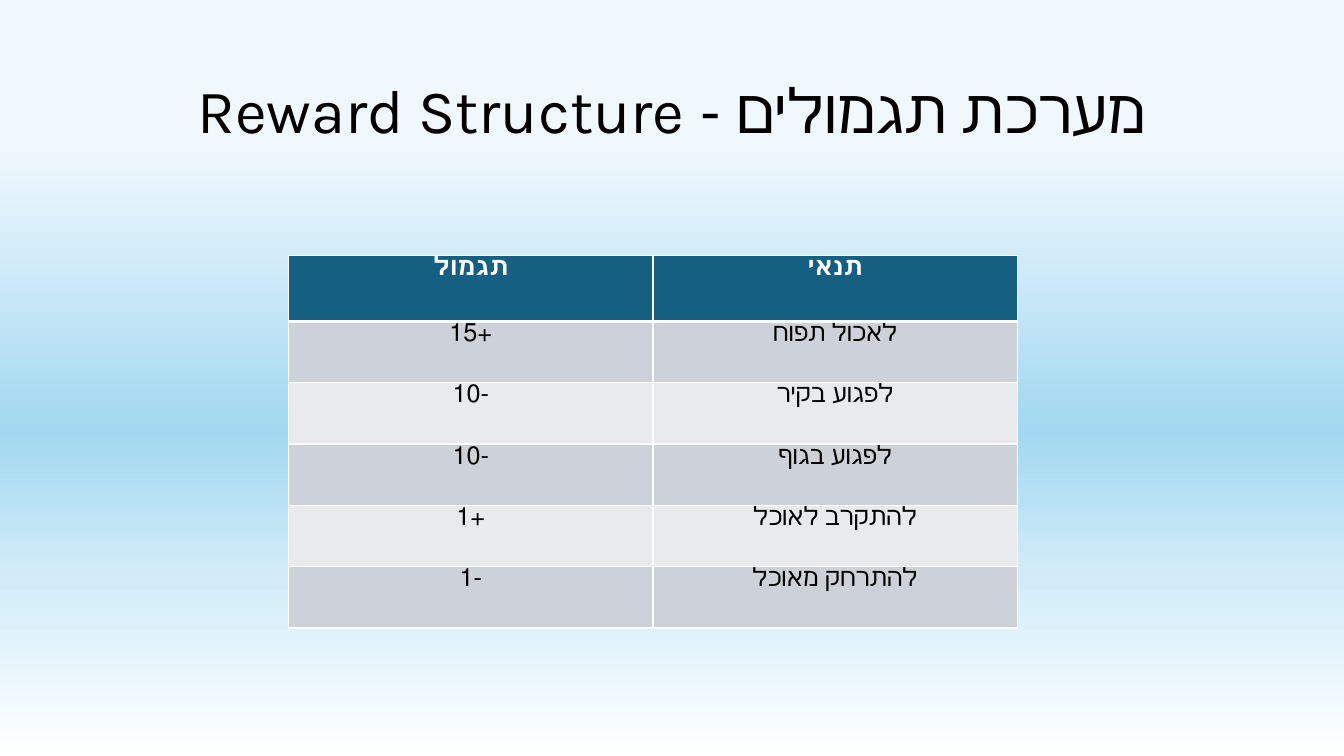
"""Build a slide with a reward table on a blue gradient background."""
import pptx
import pptx.dml.color
import pptx.enum.text
import pptx.oxml
import pptx.oxml.ns
import pptx.util

Pt = pptx.util.Pt
NS = pptx.oxml.ns.nsdecls("a")


def color(value):
    return pptx.dml.color.RGBColor.from_string(value)


def style(p, text, size, value, bold=False):
    p.text = text
    p.alignment = pptx.enum.text.PP_ALIGN.CENTER
    p.font.name = "Karla"
    p.font.size = Pt(size)
    p.font.bold = bold
    p.font.color.rgb = color(value)
    p._p.get_or_add_pPr().set("rtl", "1")


prs = pptx.Presentation()
prs.slide_width, prs.slide_height = Pt(960), Pt(540)
s = prs.slides.add_slide(prs.slide_layouts[6])

fill = s.background.fill
fill.gradient()
fill.gradient_angle = 270
stops = fill._fill._gradFill.gsLst
for stop in list(stops):
    stops.remove(stop)
for position, value in [(19, "F0F8FD"), (57, "A2D8F0"), (76, "D1ECF8"), (100, "FFFFFF")]:
    stops.append(pptx.oxml.parse_xml(
        f'<a:gs {NS} pos="{position * 1000}"><a:srgbClr val="{value}"/></a:gs>'))

title = s.shapes.add_textbox(Pt(66), Pt(28.75), Pt(828), Pt(104.4))
tf = title.text_frame
tf.word_wrap = True
tf.vertical_anchor = pptx.enum.text.MSO_ANCHOR.MIDDLE
style(tf.paragraphs[0], "מערכת תגמולים - Reward Structure", 44, "000000")
tf.paragraphs[0].line_spacing = 0.9

rewards = [
    ("תגמול", "תנאי"),
    ("+15", "לאכול תפוח"),
    ("-10", "לפגוע בקיר"),
    ("-10", "לפגוע בגוף"),
    ("+1", "להתקרב לאוכל"),
    ("-1", "להתרחק מאוכל"),
]
frame = s.shapes.add_table(len(rewards), 2, Pt(206.2), Pt(182.2), Pt(520.4), Pt(266.4))
table = frame.table
for column in table.columns:
    column.width = Pt(260.2)
for i, texts in enumerate(rewards):
    header = i == 0
    table.rows[i].height = Pt(47.4 if header else 43.8)
    for j, text in enumerate(texts):
        cell = table.cell(i, j)
        cell.margin_top = cell.margin_bottom = Pt(0)
        style(cell.text_frame.paragraphs[0], text, 18, "FFFFFF" if header else "000000", header)
        tcPr = cell._tc.get_or_add_tcPr()
        for side in ("lnL", "lnR", "lnT", "lnB"):
            thick = (side == "lnB" and i == 0) or (side == "lnT" and i == 1)
            tcPr.append(pptx.oxml.parse_xml(
                f'<a:{side} {NS} w="{Pt(3 if thick else 1)}"><a:solidFill>'
                f'<a:srgbClr val="FFFFFF"/></a:solidFill></a:{side}>'))
        cell.fill.solid()
        cell.fill.fore_color.rgb = color("156082" if header else ("E8EAED", "CCD2D8")[i % 2])

prs.save("out.pptx")
